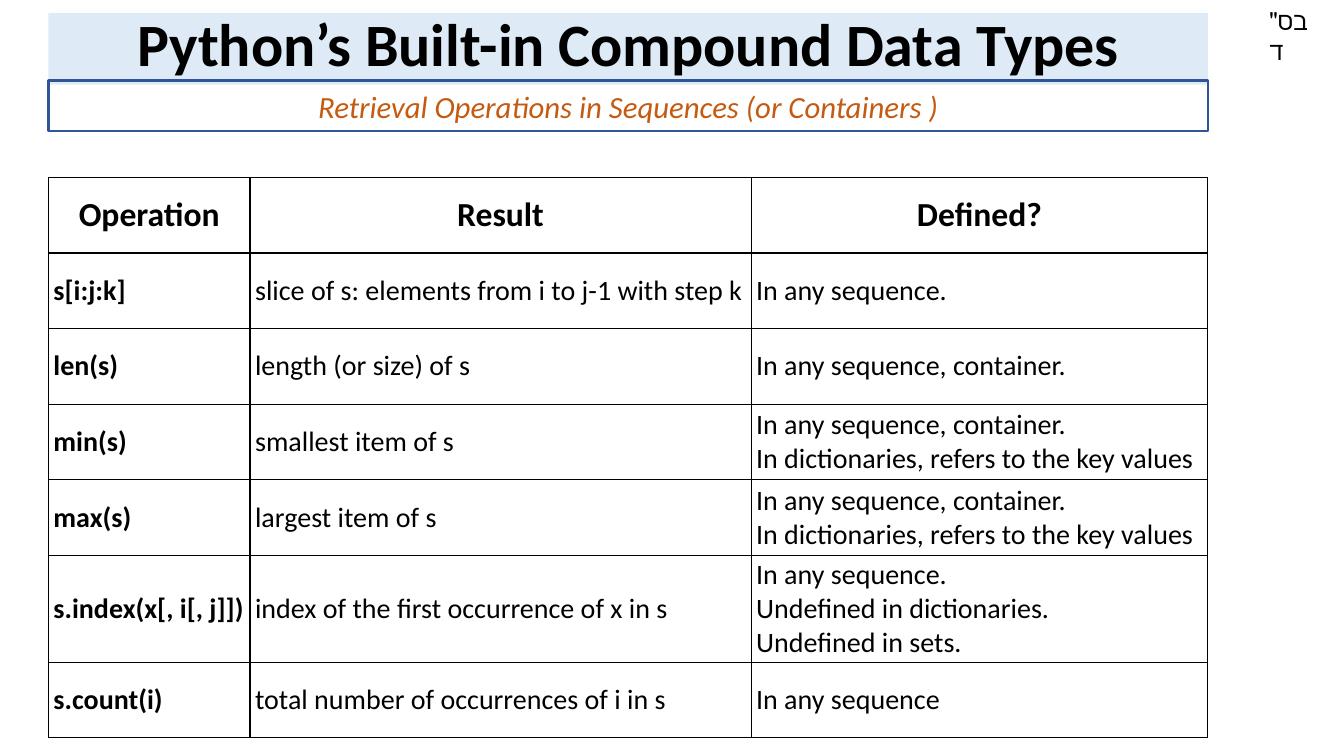
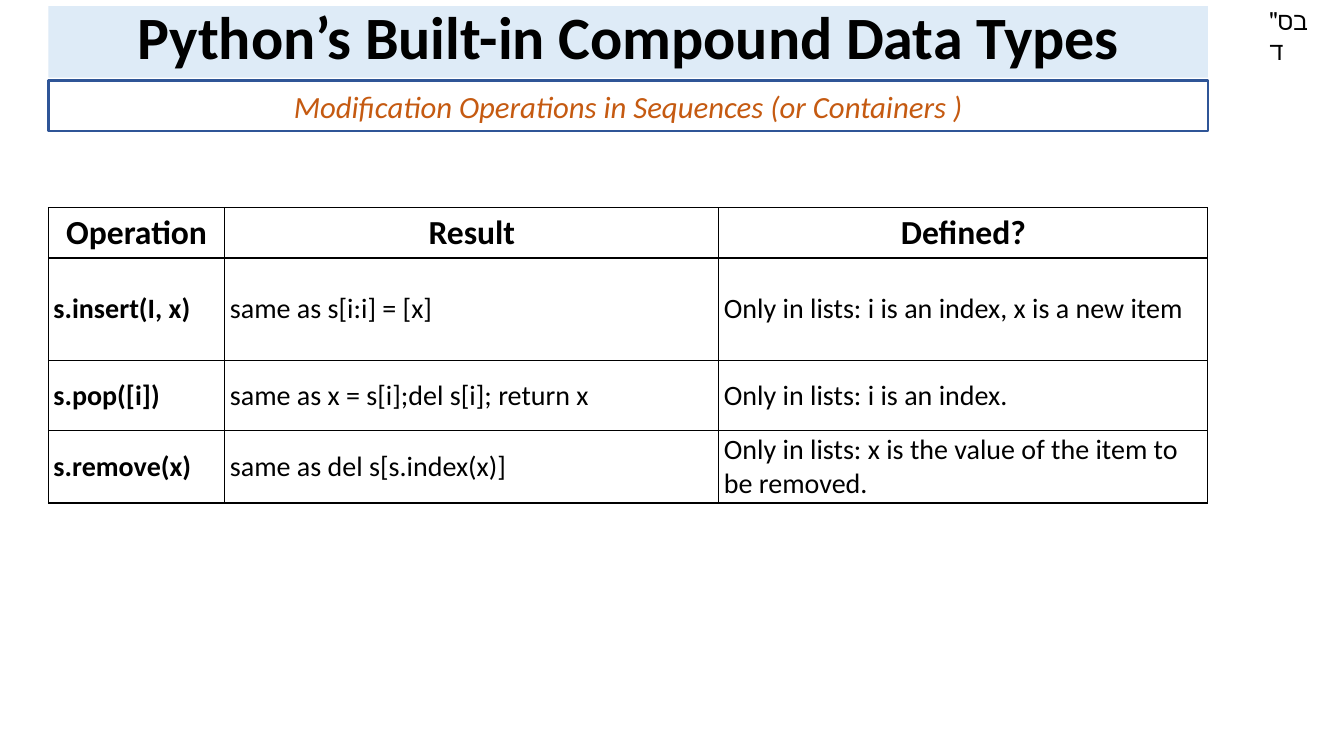
from lxml.etree import SubElement
from pptx import Presentation
from pptx.dml.color import RGBColor
from pptx.enum.shapes import MSO_SHAPE as SHAPE
from pptx.enum.text import MSO_ANCHOR as ANCHOR, MSO_AUTO_SIZE as AUTO, PP_ALIGN as ALIGN
from pptx.oxml import parse_xml
from pptx.oxml.ns import nsdecls, qn
from pptx.util import Inches, Pt

BLACK = RGBColor(0x00, 0x00, 0x00)
WHITE = RGBColor(0xFF, 0xFF, 0xFF)
PALE_BLUE = RGBColor(0xDE, 0xEB, 0xF7)
NAVY = RGBColor(0x2F, 0x55, 0x97)
RUST = RGBColor(0xC5, 0x5A, 0x11)
FONT = "Calibri"
WIDTH, HEIGHT = 13.33, 7.5
LEFT, SPAN = 0.48, 11.5
TITLE = "Python’s Built-in Compound Data Types"
HEADER = ("Operation", "Result", "Defined?")
KEYED = "In any sequence, container.\nIn dictionaries, refers to the key values"

PAGES = [
    {
        "title_top": 0.13,
        "subtitle": "Retrieval Operations in Sequences (or Containers )",
        "table_top": 1.76,
        "cols": (2, 4.97, 4.53),
        "heights": (0.75, 0.75, 0.75, 0.75, 0.75, 1.05, 0.75),
        "rows": [
            ("s[i:j:k]", "slice of s: elements from i to j-1 with step k", "In any sequence."),
            ("len(s)", "length (or size) of s", "In any sequence, container."),
            ("min(s)", "smallest item of s", KEYED),
            ("max(s)", "largest item of s", KEYED),
            ("s.index(x[, i[, j]])", "index of the first occurrence of x in s",
             "In any sequence.\nUndefined in dictionaries.\nUndefined in sets."),
            ("s.count(i)", "total number of occurrences of i in s", "In any sequence"),
        ],
    },
    {
        "title_top": 0.06,
        "subtitle": "Modification Operations in Sequences (or Containers )",
        "table_top": 2.06,
        "cols": (1.75, 4.9, 4.85),
        "heights": (0.5, 1.02, 0.69, 0.71),
        "rows": [
            ("s.insert(I, x)", "same as s[i:i] = [x]",
             "Only in lists: i is an index, x is a new item"),
            ("s.pop([i])", "same as x = s[i];del s[i]; return x", "Only in lists: i is an index."),
            ("s.remove(x)", "same as del s[s.index(x)]",
             "Only in lists: x is the value of the item to be removed."),
        ],
    },
]


def write(tf, text, size, color=BLACK, bold=False, italic=False, align=ALIGN.LEFT):
    """Fill a text frame and format every run alike."""
    tf.text = text
    tf.word_wrap = True
    for p in tf.paragraphs:
        p.alignment = align
        for r in p.runs:
            r.font.name, r.font.size = FONT, Pt(size)
            r.font.bold, r.font.italic = bold, italic
            r.font.color.rgb = color


def add_mark(prs, slide):
    """Put the corner mark on the master, so that every slide shows it."""
    sp = slide.shapes.add_textbox(Inches(WIDTH - 0.84), 0, Inches(0.7), Inches(0.4))
    write(sp.text_frame, "בס\"ד", 18)
    prs.slide_master.shapes.element.append(sp.element)


def add_title(slide, top):
    """Format the title placeholder as a pale band."""
    sp = slide.shapes.title
    sp.left, sp.top, sp.width, sp.height = map(Inches, (LEFT, top, SPAN, 0.71))
    sp.fill.solid()
    sp.fill.fore_color.rgb = PALE_BLUE
    tf = sp.text_frame
    write(tf, TITLE, 42.9, bold=True, align=ALIGN.CENTER)
    tf.auto_size = AUTO.NONE
    tf.vertical_anchor = ANCHOR.MIDDLE
    tf.paragraphs[0].line_spacing = 0.8


def add_subtitle(slide, text):
    """Draw the outlined box with the topic of the slide."""
    sp = slide.shapes.add_shape(SHAPE.RECTANGLE, *map(Inches, (LEFT, 0.8, SPAN, 0.5)))
    sp.shadow.inherit = False
    sp.fill.background()
    sp.line.color.rgb = NAVY
    sp.line.width = Pt(1.75)
    write(sp.text_frame, text, 22, RUST, italic=True, align=ALIGN.CENTER)
    sp.text_frame.vertical_anchor = ANCHOR.MIDDLE


def add_borders(cell):
    """Give a cell a thin black line on each side."""
    props = cell._tc.get_or_add_tcPr()
    for i, side in enumerate(("lnL", "lnR", "lnT", "lnB")):
        ln = parse_xml(f'<a:{side} {nsdecls("a")} w="{Pt(1)}"/>')
        SubElement(SubElement(ln, qn("a:solidFill")), qn("a:srgbClr"), val=str(BLACK))
        props.insert(i, ln)


def format_cell(cell, text, row, col):
    """Write one table cell in the style of its row and column."""
    header = row == 0
    cell.margin_left = cell.margin_right = Inches(0.05)
    cell.margin_top = cell.margin_bottom = Inches(0.02)
    cell.vertical_anchor = ANCHOR.MIDDLE
    if col == 0:
        cell.fill.background()
    else:
        cell.fill.solid()
        cell.fill.fore_color.rgb = WHITE
    write(cell.text_frame, text, 24 if header else 20, bold=header or col == 0,
          align=ALIGN.CENTER if header else ALIGN.LEFT)
    add_borders(cell)


def add_operations(slide, top, cols, heights, rows):
    """Build the table of operations below the heading."""
    frame = slide.shapes.add_table(len(heights), len(cols),
                                   *map(Inches, (LEFT, top, SPAN, sum(heights))))
    table = frame.table
    table.first_row = table.horz_banding = False
    for column, width in zip(table.columns, cols):
        column.width = Inches(width)
    for r, (height, texts) in enumerate(zip(heights, [HEADER, *rows])):
        table.rows[r].height = Inches(height)
        for c, text in enumerate(texts):
            format_cell(table.cell(r, c), text, r, c)


def add_page(prs, page):
    """Add one slide with its title, topic and table."""
    slide = prs.slides.add_slide(prs.slide_layouts[5])
    add_title(slide, page["title_top"])
    add_subtitle(slide, page["subtitle"])
    add_operations(slide, page["table_top"], page["cols"], page["heights"], page["rows"])
    return slide


def main():
    """Build and save the presentation."""
    prs = Presentation()
    prs.slide_width, prs.slide_height = Inches(WIDTH), Inches(HEIGHT)
    slides = [add_page(prs, page) for page in PAGES]
    add_mark(prs, slides[0])
    prs.save("out.pptx")


if __name__ == "__main__":
    main()
